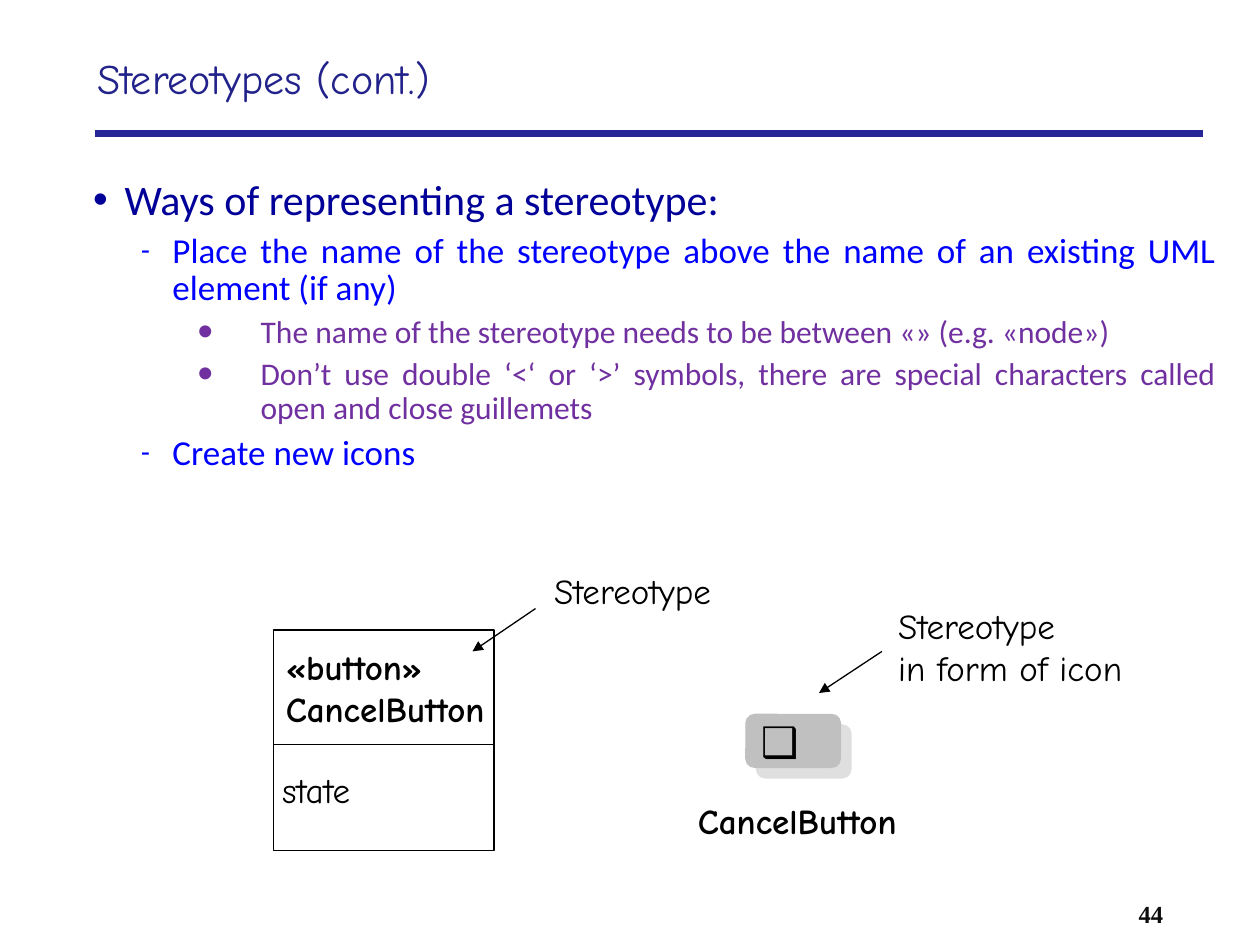
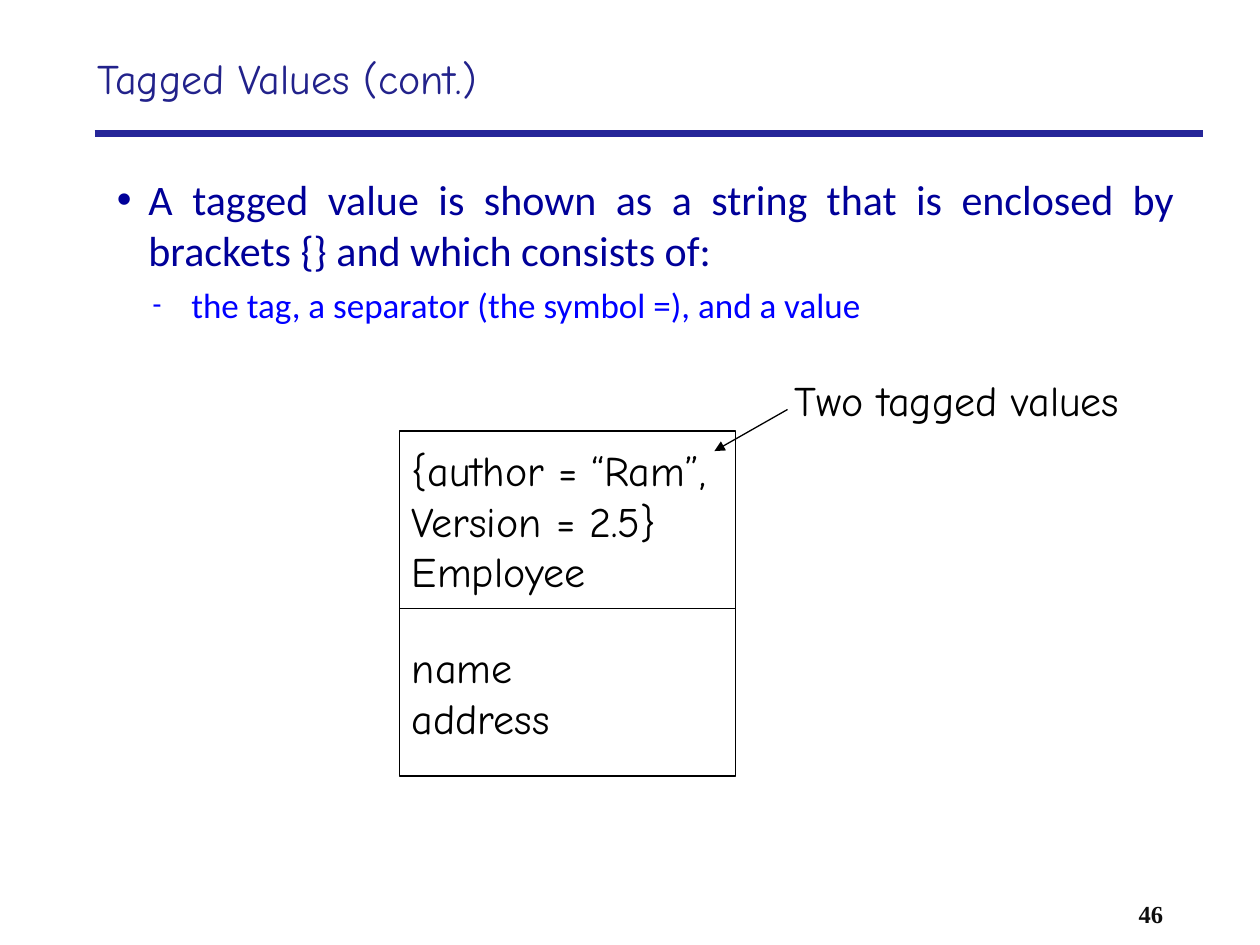
from lxml.etree import SubElement
from pptx import Presentation
from pptx.dml.color import RGBColor
from pptx.enum.shapes import MSO_CONNECTOR, MSO_SHAPE
from pptx.enum.text import MSO_ANCHOR, MSO_AUTO_SIZE, PP_ALIGN
from pptx.oxml.ns import qn
from pptx.util import Pt

PX = 9144  # EMU; 100 px make one inch
HUES = {
    "rule": "262699", "title": "22228B", "page": "0D0D0D",
    "ink": "000000", "paper": "FFFFFF", "icon": "C0C0C0",
    "top": "000099", "sub": "0000FF", "deep": "7030A0",
}
HAND, BODY, PAGE, SIGN = "Comic Neue", "Calibri", "Times New Roman", "Arial"
# Per list level: colour, text size, space before, bullet, bullet size in %
LEVELS = [
    ("top", 24, 6, "•", 100),
    ("sub", 20, 5, "-", 80),
    ("deep", 18, 4.5, "•", 140),
]


def emu(*nums):
    return [n * PX for n in nums]


def rgb(hue):
    return RGBColor.from_string(HUES[hue])


def node(home, tag, **attrs):
    return SubElement(home, qn(tag), {k: str(v) for k, v in attrs.items()})


class Deck:
    """Holds the shared style and the slide being filled."""

    def __init__(self):
        self.prs = Presentation()
        self.prs.slide_width, self.prs.slide_height = emu(1000, 750)
        self.slide = None

    def start(self, title, page):
        """Open a slide with its title, rule and page number."""
        self.slide = self.prs.slides.add_slide(self.prs.slide_layouts[5])
        self.line((75, 106), (955, 106), "rule", 4)
        head = self.slide.shapes.title
        head.left, head.top, head.width, head.height = emu(67, 28, 827, 67)
        self.text(head, [title], hue="title", size=24, wrap=True)
        self.label((883, 700, 50, 50), [page], face=PAGE, size=14, hue="page",
                   bold=True, align=PP_ALIGN.RIGHT, anchor=MSO_ANCHOR.MIDDLE)

    def words(self, para, text, face, size, hue, bold=False):
        run = para.add_run()
        run.text = text
        font = run.font
        font.name, font.size, font.bold = face, Pt(size), bold
        font.color.rgb = rgb(hue)

    def frame(self, shape, wrap, anchor):
        frame = shape.text_frame
        frame.auto_size = MSO_AUTO_SIZE.NONE
        frame.word_wrap, frame.vertical_anchor = wrap, anchor
        return frame

    def paras(self, frame, items):
        """Yield a paragraph with each item, using the first one in place."""
        for i, item in enumerate(items):
            yield frame.add_paragraph() if i else frame.paragraphs[0], item

    def text(self, shape, lines, face=HAND, size=20, hue="ink", bold=False,
             align=PP_ALIGN.LEFT, anchor=MSO_ANCHOR.MIDDLE, wrap=False):
        frame = self.frame(shape, wrap, anchor)
        for para, text in self.paras(frame, lines):
            para.alignment = align
            self.words(para, text, face, size, hue, bold)

    def label(self, area, lines, anchor=MSO_ANCHOR.TOP, **style):
        box = self.slide.shapes.add_textbox(*emu(*area))
        self.text(box, lines, anchor=anchor, **style)

    def box(self, area, lines=(), kind=MSO_SHAPE.RECTANGLE, fill="paper",
            edge="ink", **style):
        box = self.slide.shapes.add_shape(kind, *emu(*area))
        box.shadow.inherit = False
        box.fill.solid()
        box.fill.fore_color.rgb = rgb(fill)
        box.line.color.rgb, box.line.width = rgb(edge), Pt(0.75)
        if lines:
            self.text(box, lines, **style)
        return box

    def icon(self, area, sign):
        """Draw a rounded grey button with a hard offset shadow."""
        box = self.box(area, [sign], MSO_SHAPE.FLOWCHART_ALTERNATE_PROCESS,
                       "icon", "icon", face=SIGN, size=24, bold=True)
        fx = box._element.spPr.find(qn("a:effectLst"))
        cast = node(fx, "a:outerShdw", dist=Pt(8.5), dir=45 * 60000,
                    algn="ctr", rotWithShape=0)
        tint = node(cast, "a:srgbClr", val=HUES["icon"])
        node(tint, "a:alpha", val=50000)

    def line(self, start, end, hue="ink", width=0.75):
        line = self.slide.shapes.add_connector(
            MSO_CONNECTOR.STRAIGHT, *emu(*start, *end))
        line.line.color.rgb, line.line.width = rgb(hue), Pt(width)
        node(line._element.spPr, "a:effectLst")
        return line

    def arrow(self, start, end):
        line = self.line(start, end)
        node(line._element.spPr.find(qn("a:ln")), "a:tailEnd",
             type="triangle")

    def points(self, area, items, dents, space):
        """Add (level, text) items; dents gives margin and hang by level."""
        box = self.slide.shapes.add_textbox(*emu(*area))
        frame = self.frame(box, True, MSO_ANCHOR.TOP)
        for para, (level, text) in self.paras(frame, items):
            hue, size, gap, mark, scale = LEVELS[level]
            para.level, para.alignment = level, PP_ALIGN.JUSTIFY
            para.line_spacing, para.space_before = space, Pt(gap)
            left, hang = emu(*dents[level])
            props = para._p.get_or_add_pPr()
            props.set("marL", str(left))
            props.set("indent", str(-hang))
            node(node(props, "a:buClr"), "a:srgbClr", val=HUES[hue])
            node(props, "a:buSzPct", val=scale * 1000)
            node(props, "a:buFont", typeface=SIGN)
            node(props, "a:buChar", char=mark)
            self.words(para, text, BODY, size, hue)


def stereotypes(deck):
    deck.start("Stereotypes (cont.)", "44")
    deck.points((64, 137, 911, 358), [
        (0, "Ways of representing a stereotype:"),
        (1, "Place the name of the stereotype above the name of an existing "
            "UML element (if any)"),
        (2, "The name of the stereotype needs to be between «» "
            "(e.g. «node»)"),
        (2, "Don’t use double ‘<‘ or ‘>’ symbols, there are special "
            "characters called open and close guillemets"),
        (1, "Create new icons"),
    ], [(25, 25), (63, 25), (133, 50)], 0.9)

    deck.box((217, 500, 175, 91), ["«button»", "CancelButton"], bold=True)
    deck.box((217, 591, 175, 84))
    deck.arrow((425, 483), (375, 517))
    deck.label((430, 447, 146, 44), ["Stereotype"])
    deck.label((214, 605, 76, 44), ["state"])

    deck.icon((592, 567, 75, 42), "❑")
    deck.label((544, 630, 178, 44), ["CancelButton"], bold=True)
    deck.label((703, 475, 198, 77), ["Stereotype", "in form of icon"])
    deck.arrow((700, 517), (650, 550))


def tags(deck):
    deck.start("Tagged Values (cont.)", "46")
    deck.points((83, 133, 859, 175), [
        (0, "A tagged value is shown as a string that is enclosed by "
            "brackets {} and which consists of:"),
        (1, "the tag, a separator (the symbol =), and a value"),
    ], [(25, 25), (59, 31)], 1.0)

    deck.box((317, 342, 267, 142),
             ["{author = “Ram”,", "Version = 2.5}", "Employee"], size=24)
    deck.box((317, 483, 267, 133), ["name", "address"], size=24)
    deck.arrow((625, 325), (567, 358))
    deck.label((621, 292, 279, 50), ["Two tagged values"], size=24)


def main():
    deck = Deck()
    stereotypes(deck)
    tags(deck)
    deck.prs.save("out.pptx")


if __name__ == "__main__":
    main()
